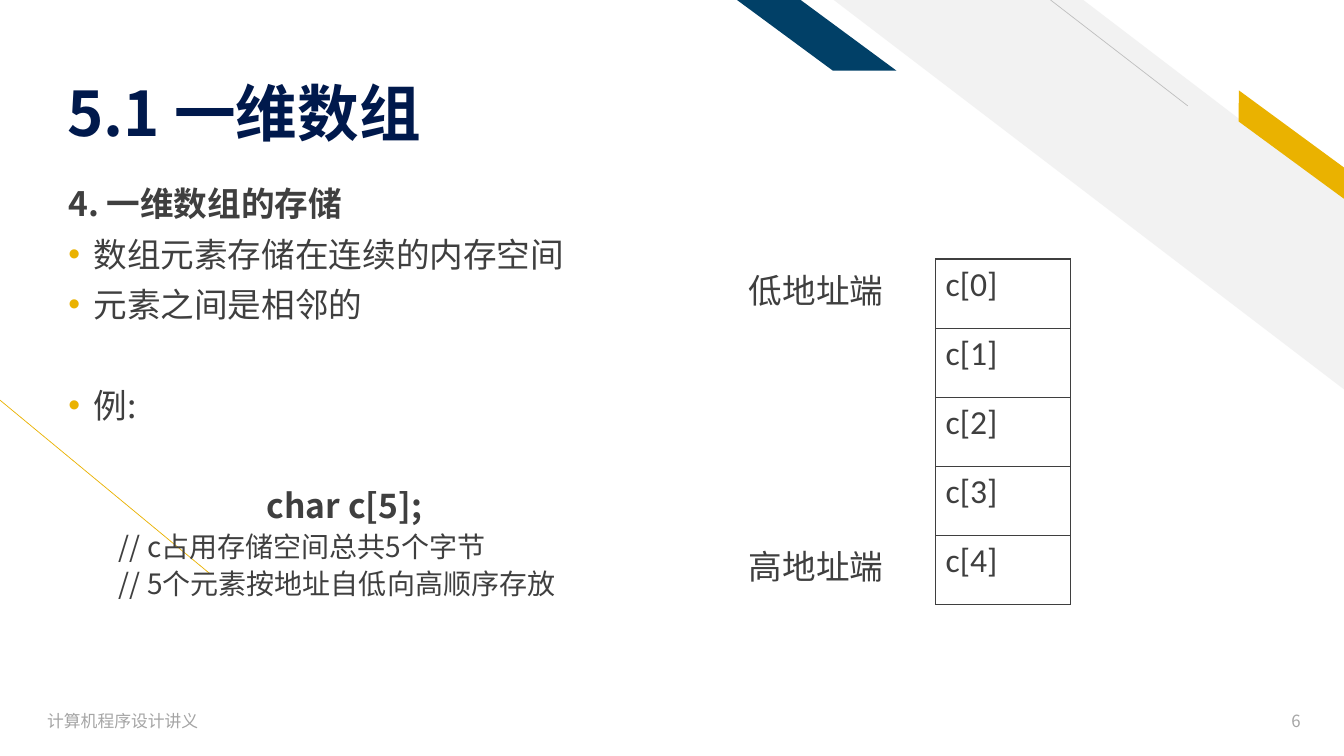
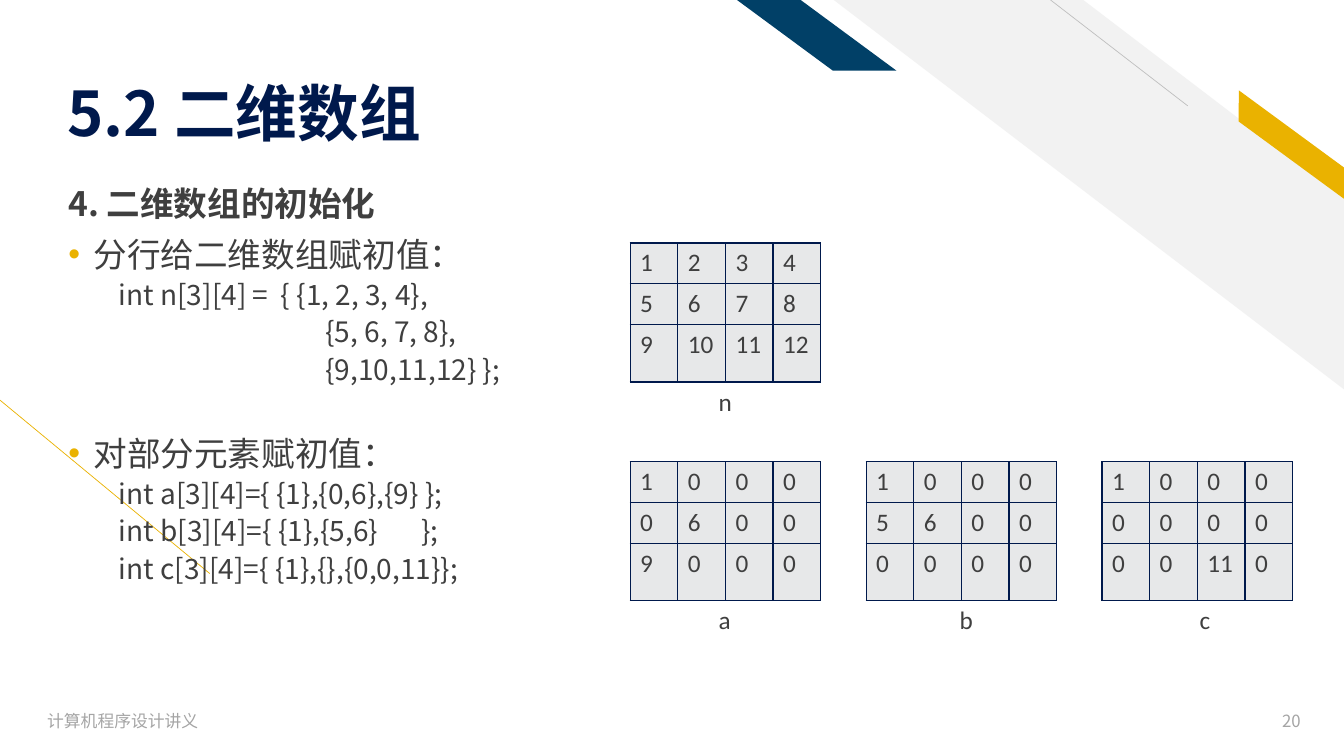
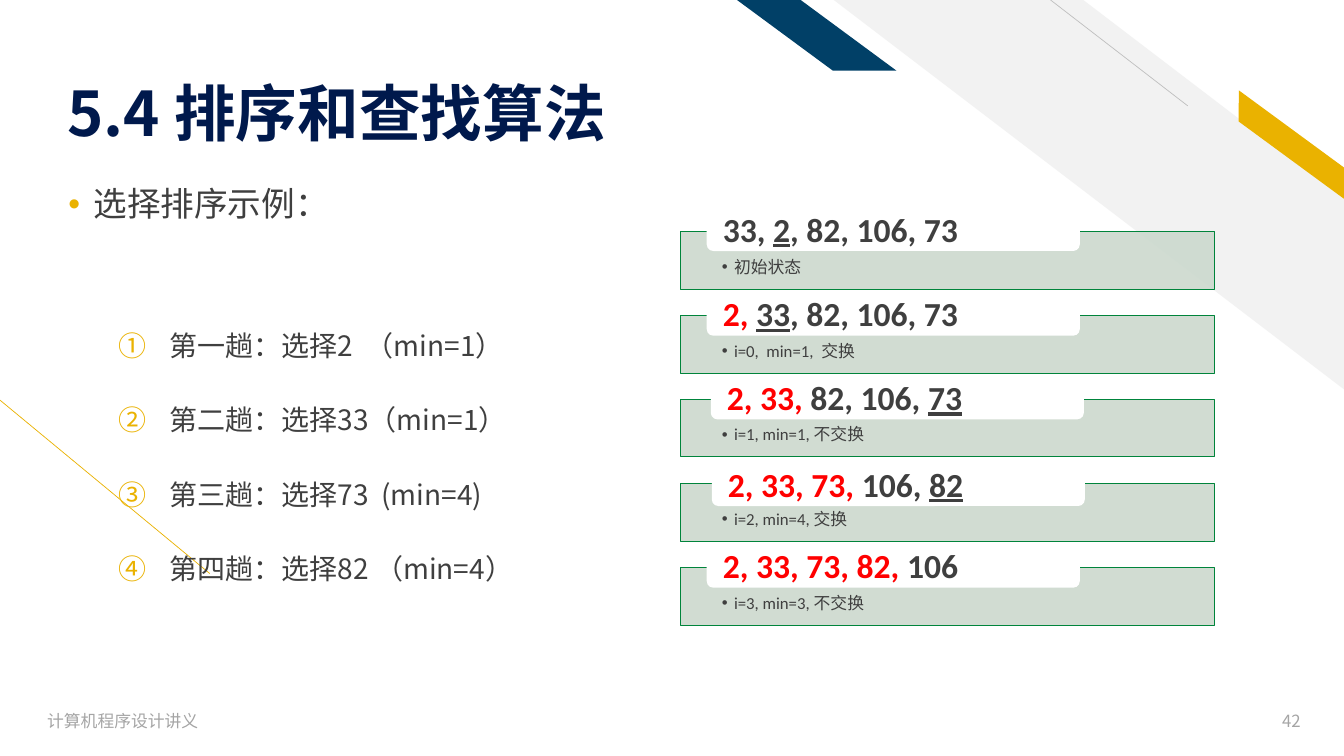
import pptx
import pptx.util
import pptx.dml.color
import pptx.enum.shapes
import pptx.enum.text
import pptx.oxml
import pptx.oxml.ns
import lxml.etree

SCALE = 9144
NAVY, GOLD, BLUE, PALE = "00194C", "EAB200", "014067", "F2F2F2"
DARK, GRAY, RULE, RED = "3F3F3F", "A5A5A5", "BFBFBF", "FF0000"
CELL, MINT, GREEN, WHITE = "E7E8E9", "CCD9CE", "00843B", "FFFFFF"
SANS, BASE = "Noto Sans CJK SC", "Calibri"
PLAIN = "{2D5ABB26-0587-4C30-8999-92F81FD0307C}"
SHAPE = pptx.enum.shapes.MSO_SHAPE
ALIGN = pptx.enum.text.PP_ALIGN
ANCHOR = pptx.enum.text.MSO_ANCHOR
KINDS = {
    "head": (24, True, 0, 0, None, ALIGN.LEFT),
    "dot": (24, False, 25, -25, "•", ALIGN.LEFT),
    "mid": (24, True, 0, 0, None, ALIGN.CENTER),
    "code": (20, False, 50, 0, None, ALIGN.LEFT),
    "tab": (20, False, 0, 50, None, ALIGN.LEFT),
    "deep": (20, False, 255, 0, None, ALIGN.LEFT),
    "step": (20, False, 100, -50, "auto", ALIGN.LEFT),
}


def px(*nums):
    """Turn px lengths into EMU."""
    return [pptx.util.Emu(round(n * SCALE)) for n in nums]


def paint(fill, code):
    """Fill with a hex colour, or with nothing."""
    if code is None:
        fill.background()
    else:
        fill.solid()
        fill.fore_color.rgb = pptx.dml.color.RGBColor.from_string(code)


def node(parent, tag, **attrs):
    """Append a drawing element to a parent."""
    child = lxml.etree.SubElement(parent, pptx.oxml.ns.qn("a:" + tag))
    for key, val in attrs.items():
        child.set(key, str(val))
    return child


class Deck:
    """Holds the style and the current slide."""

    def __init__(self):
        """Start an empty wide deck."""
        self.prs = pptx.Presentation()
        self.prs.slide_width, self.prs.slide_height = px(1333, 750)
        self.slide = None

    def page(self, title, num):
        """Add a slide with its bands, title and footer."""
        self.slide = self.prs.slides.add_slide(self.prs.slide_layouts[5])
        self.line(208, 569, 0, 397, GOLD)
        self.shape(SHAPE.DIAGONAL_STRIPE, (827, 0, 507, 387), PALE, adj=0.512, flip=True)
        self.line(1178, 105, 1042, 0, RULE)
        edge = self.shape(SHAPE.PARALLELOGRAM, (1207, 131, 148, 25), GOLD, adj=0.72, flip=True)
        edge.rotation = 36.3
        self.shape(SHAPE.PARALLELOGRAM, (731, 0, 158, 70), BLUE, adj=1.356, flip=True)
        for box, text, side in (((37, 695, 450, 40), "计算机程序设计讲义", ALIGN.LEFT),
                                ((1219, 695, 81, 40), str(num), ALIGN.RIGHT)):
            self.text(box, text, 12, SANS, GRAY, side, ANCHOR.MIDDLE)
        head = self.slide.shapes.title
        head.left, head.top, head.width, head.height = px(57, 23, 911, 126)
        frame = self.frame(head, (10, 5, 10, 0), ANCHOR.BOTTOM)
        par = frame.paragraphs[0]
        self.fill(par, title, 44, SANS, NAVY, True)
        par.alignment = ALIGN.LEFT
        par.line_spacing = 0.9

    def frame(self, shape, pads, anchor):
        """Set the margins and anchor of a text frame."""
        frame = shape.text_frame
        frame.word_wrap = True
        frame.auto_size = pptx.enum.text.MSO_AUTO_SIZE.NONE
        frame.vertical_anchor = anchor
        (frame.margin_left, frame.margin_top,
         frame.margin_right, frame.margin_bottom) = px(*pads)
        return frame

    def fill(self, par, parts, size, face, color=DARK, bold=False):
        """Fill in a string, or (text, colour, underline) parts."""
        if isinstance(parts, str):
            parts = [(parts, color, False)]
        for text, tone, under in parts:
            run = par.add_run()
            run.text = text
            font = run.font
            font.name, font.size = face, pptx.util.Pt(size)
            font.bold, font.underline = bold, under
            paint(font.fill, tone)
            node(run._r.get_or_add_rPr(), "ea", typeface=SANS)

    def text(self, box, text, size, face, color=DARK, side=ALIGN.LEFT, anchor=ANCHOR.TOP):
        """Add a one-line text box."""
        shape = self.slide.shapes.add_textbox(*px(*box))
        par = self.frame(shape, (10, 5, 10, 5), anchor).paragraphs[0]
        self.fill(par, text, size, face, color)
        par.alignment = side

    def indent(self, par, left, first, mark=None, color=DARK):
        """Set the indents and bullet of a paragraph."""
        props = par._p.get_or_add_pPr()
        props.set("marL", str(px(left)[0]))
        props.set("indent", str(px(first)[0]))
        if mark:
            node(node(props, "buClr"), "srgbClr", val=color)
            node(props, "buFont", typeface="Arial")
        if mark == "auto":
            node(props, "buAutoNum", type="circleNumDbPlain")
        elif mark:
            node(props, "buChar", char=mark)
        else:
            node(props, "buNone")

    def body(self, rows):
        """Add the main text from (kind, text, space before) rows."""
        shape = self.slide.shapes.add_textbox(*px(58, 181, 567, 495))
        frame = self.frame(shape, (10, 5, 10, 5), ANCHOR.TOP)
        for i, (kind, text, before) in enumerate(rows):
            size, bold, left, first, mark, side = KINDS[kind]
            par = frame.add_paragraph() if i else frame.paragraphs[0]
            self.fill(par, text, size, SANS, bold=bold)
            par.alignment = side
            par.line_spacing = pptx.util.Pt(1.08 * size)
            par.space_before = pptx.util.Pt(before)
            self.indent(par, left, first, mark, GOLD)
            if kind == "tab":
                stops = node(par._p.get_or_add_pPr(), "tabLst")
                node(stops, "tab", pos=px(344)[0], algn="l")

    def shape(self, kind, box, fill, line=None, adj=None, flip=False, alpha=None):
        """Add a preset shape."""
        shape = self.slide.shapes.add_shape(kind, *px(*box))
        shape.shadow.inherit = False
        paint(shape.fill, fill)
        paint(shape.line.fill, line)
        if line:
            shape.line.width = pptx.util.Pt(0.5)
        if adj:
            shape.adjustments[0] = adj
        if flip:
            shape._element.spPr.xfrm.set("flipH", "1")
        if alpha:
            tone = shape._element.spPr.find(pptx.oxml.ns.qn("a:solidFill"))[0]
            node(tone, "alpha", val=alpha * 1000)
        return shape

    def line(self, x1, y1, x2, y2, color):
        """Add a thin straight line."""
        line = self.slide.shapes.add_connector(
            pptx.enum.shapes.MSO_CONNECTOR.STRAIGHT, *px(x1, y1, x2, y2))
        paint(line.line.fill, color)
        line.line.width = pptx.util.Pt(0.5)
        node(line._element.spPr, "effectLst")

    def table(self, box, rows, size, fill=None, edge=None, side=ALIGN.LEFT, highs=()):
        """Add a table with even columns."""
        table = self.slide.shapes.add_table(len(rows), len(rows[0]), *px(*box)).table
        table.first_row = table.horz_banding = False
        table._tbl.tblPr[0].text = PLAIN
        for row, high in zip(table.rows, highs):
            row.height = px(high)[0]
        for row, vals in zip(table.rows, rows):
            for cell, val in zip(row.cells, vals):
                paint(cell.fill, fill)
                if edge:
                    self.border(cell, edge)
                if val != "":
                    par = cell.text_frame.paragraphs[0]
                    self.fill(par, str(val), size, BASE)
                    par.alignment = side

    def border(self, cell, color):
        """Draw the four borders of a cell."""
        props = cell._tc.get_or_add_tcPr()
        for i, tag in enumerate(("lnL", "lnR", "lnT", "lnB")):
            edge = node(props, tag, w=12700)
            node(node(edge, "solidFill"), "srgbClr", val=color)
            props.insert(i, edge)

    def state(self, top, left, drop, parts, note):
        """Add a bar with its note and a white label."""
        bar = self.shape(SHAPE.RECTANGLE, (675, top, 529, 57), MINT, GREEN, alpha=90)
        par = self.frame(bar, (41, 27, 41, 9), ANCHOR.TOP).paragraphs[0]
        self.fill(par, note, 12, BASE)
        par.alignment = ALIGN.LEFT
        par.line_spacing = 0.9
        self.indent(par, 12, -12, "•")
        tag = self.shape(SHAPE.ROUNDED_RECTANGLE, (left, top - drop, 370, 39), WHITE)
        par = self.frame(tag, (14, 0, 14, 0), ANCHOR.MIDDLE).paragraphs[0]
        self.fill(par, parts, 24, BASE, bold=True)
        par.alignment = ALIGN.LEFT
        par.line_spacing = 0.9


def main():
    """Build the three slides."""
    deck = Deck()

    deck.page("5.1 一维数组", 6)
    deck.body([
        ("head", "4. 一维数组的存储", 10),
        ("dot", "数组元素存储在连续的内存空间", 10),
        ("dot", "元素之间是相邻的", 10),
        ("dot", "例:", 46),
        ("mid", "char c[5];", 46),
        ("code", "// c占用存储空间总共5个字节", 5),
        ("code", "// 5个元素按地址自低向高顺序存放", 5),
    ])
    deck.table((928, 257, 134, 343), [[f"c[{i}]"] for i in range(5)], 24, edge=DARK)
    ends = [["低地址端"], [""], [""], [""], ["高地址端"]]
    deck.table((676, 257, 210, 343), ends, 24, side=ALIGN.RIGHT)

    deck.page("5.2 二维数组", 20)
    deck.body([
        ("head", "4. 二维数组的初始化", 10),
        ("dot", "分行给二维数组赋初值：", 10),
        ("code", "int n[3][4] =  { {1, 2, 3, 4},", 5),
        ("deep", "{5, 6, 7, 8},", 5),
        ("deep", "{9,10,11,12} };", 5),
        ("dot", "对部分元素赋初值：", 36.6),
        ("code", "int a[3][4]={ {1},{0,6},{9} };", 5),
        ("tab", "int b[3][4]={ {1},{5,6}\t};", 5),
        ("code", "int c[3][4]={ {1},{},{0,0,11}};", 5),
    ])
    for name, left, top, mid, rows in (
        ("n", 625, 241, 703, [[1, 2, 3, 4], [5, 6, 7, 8], [9, 10, 11, 12]]),
        ("a", 625, 458, 703, [[1, 0, 0, 0], [0, 6, 0, 0], [9, 0, 0, 0]]),
        ("b", 859, 458, 942, [[1, 0, 0, 0], [5, 6, 0, 0], [0, 0, 0, 0]]),
        ("c", 1093, 458, 1180, [[1, 0, 0, 0], [0, 0, 0, 0], [0, 0, 11, 0]]),
    ):
        deck.table((left, top, 189, 137), rows, 18, CELL, NAVY, highs=(40, 40, 57))
        deck.text((mid, top + 137, 76, 40), name, 18, BASE)

    deck.page("5.4 排序和查找算法", 42)
    deck.body([
        ("dot", "选择排序示例：", 10),
        ("step", "第一趟：选择2  （min=1）", 77),
        ("step", "第二趟：选择33（min=1）", 31.6),
        ("step", "第三趟：选择73  (min=4)", 31.6),
        ("step", "第四趟：选择82 （min=4）", 31.6),
    ])
    states = [
        (701, 20, "", "33, ", "2", ", 82, 106, 73", "初始状态"),
        (701, 19, "2, ", "", "33", ", 82, 106, 73", "i=0,  min=1,  交换"),
        (705, 19, "2, 33,", " 82, 106, ", "73", "", "i=1, min=1, 不交换"),
        (706, 17, "2, 33, 73, ", "106, ", "82", "", "i=2, min=4, 交换"),
        (701, 19, "2, 33, 73, 82, ", "106", "", "", "i=3, min=3, 不交换"),
    ]
    for i, (left, drop, done, rest, pick, tail, note) in enumerate(states):
        parts = [(done, RED, False), (rest, DARK, False),
                 (pick, DARK, True), (tail, DARK, False)]
        deck.state(230 + i * 250 // 3, left, drop, [p for p in parts if p[0]], note)

    deck.prs.save("out.pptx")


if __name__ == "__main__":
    main()
